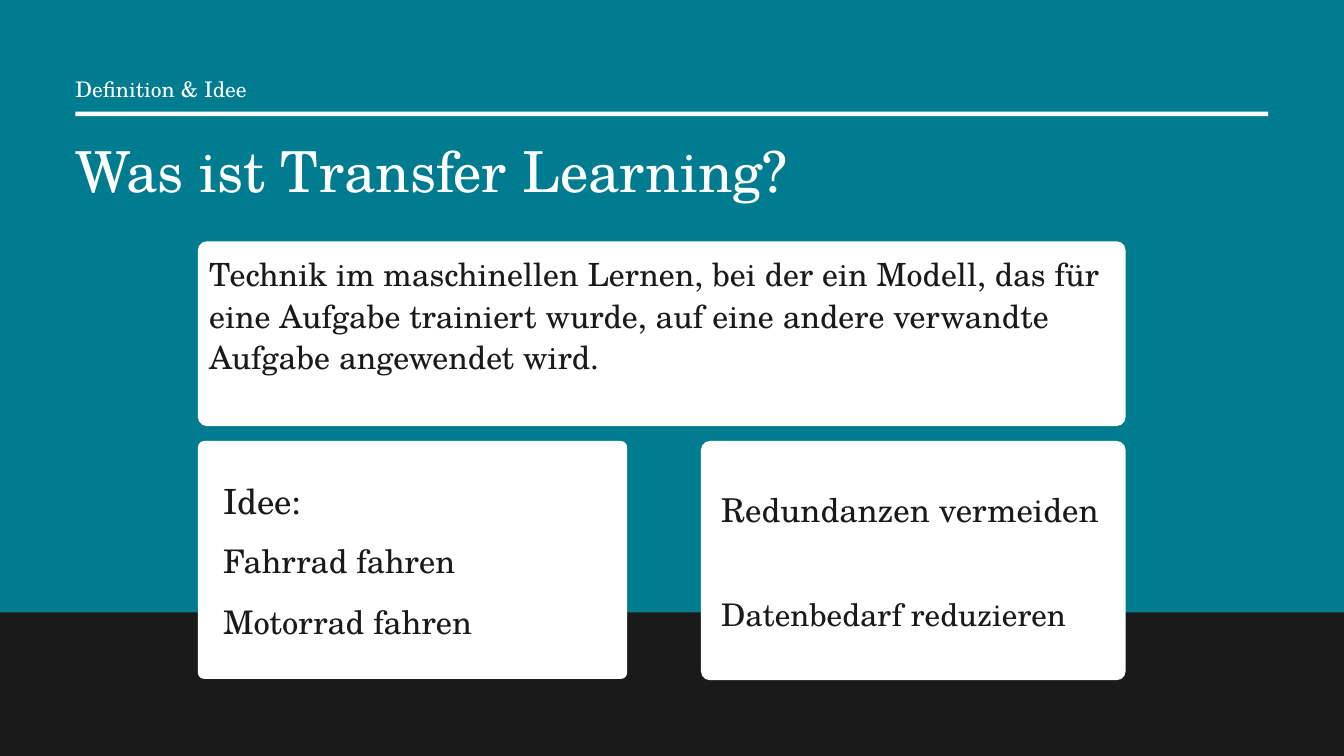
from pptx import Presentation
from pptx.dml.color import RGBColor
from pptx.enum.shapes import MSO_SHAPE
from pptx.util import Pt

RECT = MSO_SHAPE.RECTANGLE
ROUND = MSO_SHAPE.ROUNDED_RECTANGLE
FONT = "TeX Gyre Schola"
COLORS = {"teal": "007C91", "dark": "1A1A1A", "white": "FFFFFF"}
WIDE, HIGH = 1440, 810


def tint(name):
    return RGBColor.from_string(COLORS[name])


def add_block(slide, box, color, radius=0):
    kind = ROUND if radius else RECT
    shape = slide.shapes.add_shape(kind, *map(Pt, box))
    if radius:
        shape.adjustments[0] = radius / min(box[2:])
    shape.shadow.inherit = False
    shape.fill.solid()
    shape.fill.fore_color.rgb = tint(color)
    shape.line.fill.background()


def add_text(slide, box, text, size, lead, color):
    frame = slide.shapes.add_textbox(*map(Pt, box)).text_frame
    frame.word_wrap = True
    frame.margin_left = frame.margin_right = 0
    frame.margin_top = frame.margin_bottom = 0
    frame.text = text
    para = frame.paragraphs[0]
    para.line_spacing = Pt(lead)
    font = para.runs[0].font
    font.name, font.size = FONT, Pt(size)
    font.color.rgb = tint(color)


def add_header(slide, box):
    left, top, width, _ = box
    add_text(slide, (left, top + 64.8, 1105, 75.6),
             "Was ist Transfer Learning?", 60.5, 76.9, "white")
    add_text(slide, (left, top, 637, 31), "Definition & Idee", 23, 32.2, "white")
    add_block(slide, (left, top + 42.5, width, 5), "white")


def add_card(slide, box, radius, inset, lines):
    """Each line is (offset from card top, height, text, size, leading)."""
    left, top, width, _ = box
    add_block(slide, box, "white", radius)
    for down, high, text, size, lead in lines:
        # Text starts at the inset and keeps a small right margin
        area = (left + inset, top + down, width - inset - 12, high)
        add_text(slide, area, text, size, lead, "dark")


def main():
    deck = Presentation()
    deck.slide_width, deck.slide_height = Pt(WIDE), Pt(HIGH)
    slide = deck.slides.add_slide(deck.slide_layouts[6])
    slide.background.fill.solid()
    slide.background.fill.fore_color.rgb = tint("teal")

    # Dark band along the foot
    band = 656
    add_block(slide, (0, band, WIDE, HIGH - band), "dark")

    add_header(slide, (80.8, 77, 1278, 140))

    # Definition above, idea and benefits below
    left, right, row = 212, 1206, 472.5
    add_card(slide, (left, 258.5, right - left, 198), 9.7, 12, [
        (10.8, 175, "Technik im maschinellen Lernen, bei der ein Modell, "
         "das für eine Aufgabe trainiert wurde, auf eine andere verwandte "
         "Aufgabe angewendet wird.", 34.2, 44.5)])
    add_card(slide, (left, row, 460, 255), 6.8, 27, [
        (37.3, 46, "Idee:", 37.2, 48.4),
        (104.2, 43, "Fahrrad fahren", 34.8, 45.2),
        (169.2, 43, "Motorrad fahren", 34.8, 45.2)])
    add_card(slide, (751, row, right - 751, 256.3), 9.5, 21.6, [
        (48.8, 44, "Redundanzen vermeiden", 35.2, 45.8),
        (161.8, 42, "Datenbedarf reduzieren", 33.4, 43.5)])

    deck.save("out.pptx")


if __name__ == "__main__":
    main()
